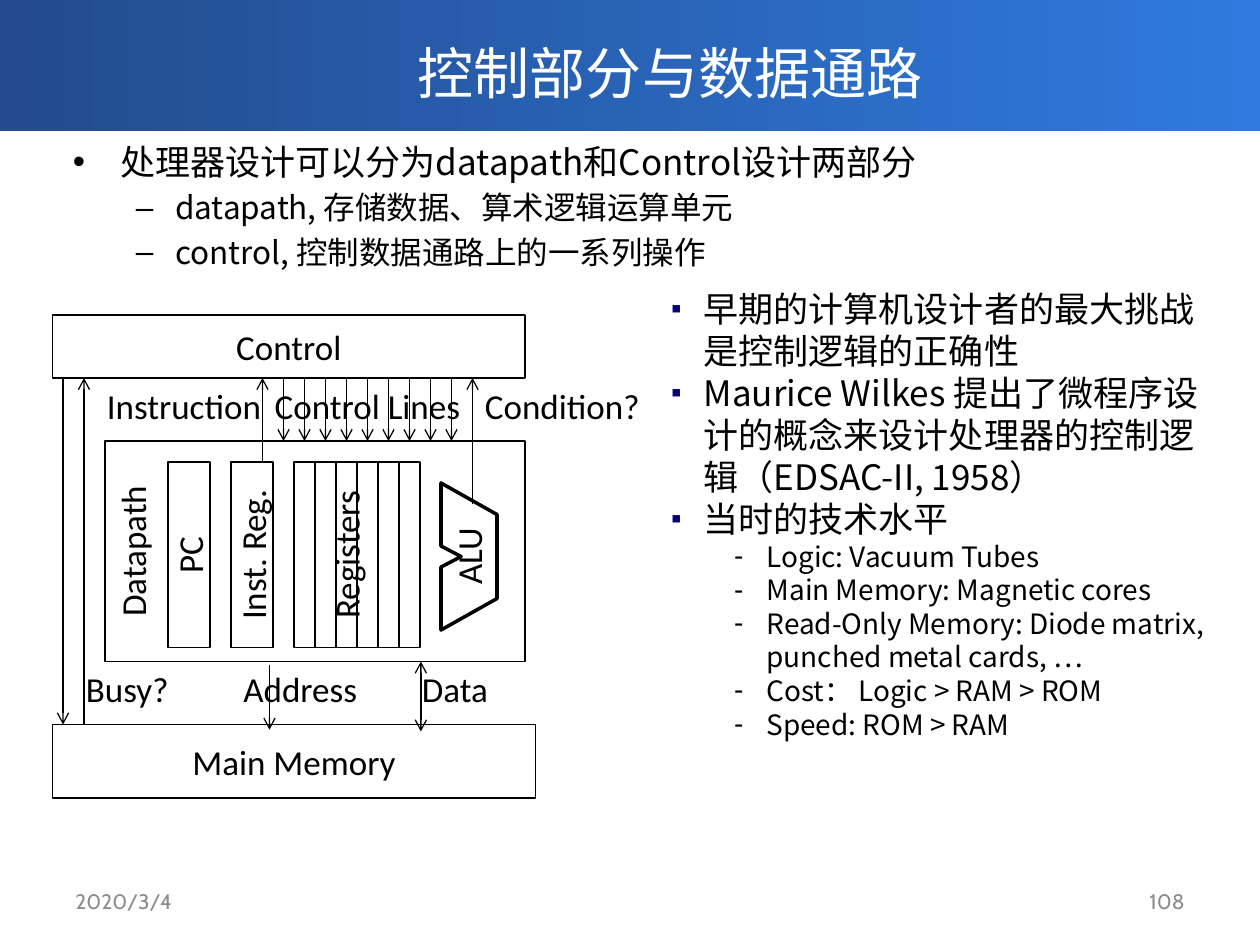
from dataclasses import dataclass

from lxml import etree
from pptx import Presentation
from pptx.dml import color
from pptx.enum import shapes, text
from pptx.oxml import ns
from pptx.util import Pt


@dataclass(frozen=True)
class Theme:
    black: str = "000000"
    white: str = "FFFFFF"
    grey: str = "8C8C8C"
    navy: str = "000080"
    banner: tuple = ("234B8D", "2F7ADF")
    cjk: str = "Noto Sans CJK SC"
    label: str = "Calibri"
    footer: str = "Cabin"
    title_size: int = 32
    large: int = 20
    medium: int = 18
    small: int = 16
    footer_size: int = 12


THEME = Theme()
CENTER, RIGHT = text.PP_ALIGN.CENTER, text.PP_ALIGN.RIGHT
MIDDLE, TOP = text.MSO_ANCHOR.MIDDLE, text.MSO_ANCHOR.TOP


def rgb(value):
    return color.RGBColor.from_string(value)


def add_child(parent, tag, **attributes):
    return etree.SubElement(parent, ns.qn(tag), attributes)


def add_run(paragraph, words, size, font, ink=THEME.black):
    run = paragraph.add_run()
    run.text = words
    run.font.size, run.font.name = Pt(size), font
    run.font.color.rgb = rgb(ink)
    add_child(run._r.get_or_add_rPr(), "a:ea", typeface=font)


def write(shape, words, size=THEME.large, font=THEME.label, ink=THEME.black,
          align=None, anchor=TOP, wrap=True):
    frame = shape.text_frame
    frame.word_wrap, frame.vertical_anchor = wrap, anchor
    paragraph = frame.paragraphs[0]
    paragraph.alignment = align
    add_run(paragraph, words, size, font, ink)


def add_text(slide, left, top, width, height, words, **style):
    box = slide.shapes.add_textbox(Pt(left), Pt(top), Pt(width), Pt(height))
    write(box, words, **style)
    return box


def outline(shape, width=1):
    shape.shadow.inherit = False
    shape.fill.solid()
    shape.fill.fore_color.rgb = rgb(THEME.white)
    shape.line.color.rgb = rgb(THEME.black)
    shape.line.width = Pt(width)


def add_block(slide, left, top, width, height, words="", upright=False, anchor=MIDDLE):
    """Outlined box; an upright one is turned so that its text reads upwards."""
    if upright:
        left, top = left + (width - height) / 2, top + (height - width) / 2
        width, height = height, width
    block = slide.shapes.add_shape(shapes.MSO_SHAPE.RECTANGLE,
                                   Pt(left), Pt(top), Pt(width), Pt(height))
    outline(block)
    if upright:
        block.rotation = 270
    if words:
        write(block, words, align=CENTER, anchor=anchor)


def add_arrow(slide, x, start, end, both=False):
    arrow = slide.shapes.add_connector(shapes.MSO_CONNECTOR.STRAIGHT,
                                       Pt(x), Pt(start), Pt(x), Pt(end))
    arrow.line.color.rgb = rgb(THEME.black)
    arrow.line.width = Pt(0.75)
    line = arrow.line._get_or_add_ln()
    if both:
        add_child(line, "a:headEnd", type="arrow")
    add_child(line, "a:tailEnd", type="arrow")
    add_child(arrow._element.spPr, "a:effectLst")


def add_list(slide, left, top, width, height, items, levels):
    """Bulleted list; each level gives bullet, size, margin, hanging, space, ink, scale."""
    box = slide.shapes.add_textbox(Pt(left), Pt(top), Pt(width), Pt(height))
    frame = box.text_frame
    frame.word_wrap = True
    for index, (level, words) in enumerate(items):
        paragraph = frame.paragraphs[0] if index == 0 else frame.add_paragraph()
        bullet, size, margin, hanging, space, ink, scale = levels[level]
        paragraph.level = level
        paragraph.space_before = Pt(space)
        properties = paragraph._p.get_or_add_pPr()
        properties.set("marL", str(Pt(margin)))
        properties.set("indent", str(-Pt(hanging)))
        add_child(add_child(properties, "a:buClr"), "a:srgbClr", val=ink)
        add_child(properties, "a:buSzPct", val=str(scale * 1000))
        add_child(properties, "a:buFont", typeface="Arial")
        add_child(properties, "a:buChar", char=bullet)
        add_run(paragraph, words, size, THEME.cjk)


def add_banner(slide, left, top, width, height):
    banner = slide.shapes.add_shape(shapes.MSO_SHAPE.RECTANGLE,
                                    Pt(left), Pt(top), Pt(width), Pt(height))
    banner.shadow.inherit = False
    banner.line.fill.background()
    banner.fill.gradient()
    banner.fill.gradient_angle = 0
    for stop, ink, position in zip(banner.fill.gradient_stops, THEME.banner, (0, 1)):
        stop.color.rgb, stop.position = rgb(ink), position
    add_text(slide, left + 82, top + 16, width - 118, 55, "控制部分与数据通路",
             size=THEME.title_size, font=THEME.cjk, ink=THEME.white,
             align=CENTER, anchor=MIDDLE)


def add_summary(slide, left, top, width, height):
    levels = [("•", THEME.large, 27, 27, 4, THEME.black, 100),
              ("–", THEME.medium, 58.5, 22.5, 3.6, THEME.black, 100)]
    add_list(slide, left, top, width, height, [
        (0, "处理器设计可以分为datapath和Control设计两部分"),
        (1, "datapath, 存储数据、算术逻辑运算单元"),
        (1, "control, 控制数据通路上的一系列操作")], levels)


def add_history(slide, left, top, width, height):
    levels = [("▪", THEME.large, 18.5, 18.5, 0, THEME.navy, 85),
              ("-", THEME.small, 54.5, 18.5, 0, THEME.black, 100)]
    add_list(slide, left, top, width, height, [
        (0, "早期的计算机设计者的最大挑战是控制逻辑的正确性"),
        (0, "Maurice Wilkes 提出了微程序设计的概念来设计处理器的控制逻辑（EDSAC-II, 1958）"),
        (0, "当时的技术水平"),
        (1, "Logic: Vacuum Tubes"),
        (1, "Main Memory: Magnetic cores"),
        (1, "Read-Only Memory: Diode matrix, punched metal cards, …"),
        (1, "Cost： Logic > RAM > ROM"),
        (1, "Speed: ROM > RAM")], levels)


def add_alu(slide, left, top):
    width, height = 84, 32
    x, y = left + (height - width) / 2, top + (width - height) / 2
    corners = [(0, 0), (36, 0), (42, 11.5), (48, 0), (84, 0), (66, 32), (18, 32)]
    points = [(Pt(x + dx), Pt(y + dy)) for dx, dy in corners]
    builder = slide.shapes.build_freeform(*points[0])
    builder.add_line_segments(points[1:], close=True)
    alu = builder.convert_to_shape()
    outline(alu, 2)
    alu.rotation = 270
    write(alu, "ALU", align=CENTER)


def add_processor(slide, left, top):
    control_bottom, path_top, path_bottom, memory_top = (
        top + offset for offset in (36, 72, 198, 234))

    # Main blocks
    add_block(slide, left, top, 270, 36, "Control")
    add_block(slide, left, memory_top, 276, 42, "Main Memory")
    add_block(slide, left + 30, path_top, 240, 126, "Datapath", upright=True, anchor=TOP)

    # Parts of the datapath
    for x, words in ((66, "PC"), (102, "Inst. Reg.")):
        add_block(slide, left + x, path_top + 12, 24, 106, words, upright=True)
    for index in range(6):
        add_block(slide, left + 138 + 12 * index, path_top + 12, 12, 106, upright=True)
    registers = add_text(slide, left + 123.5, top + 120, 89, 32, "Registers", wrap=False)
    registers.rotation = 270
    add_alu(slide, left + 222, top + 96)

    # Control lines and signals
    for index in range(9):
        add_arrow(slide, left + 132 + 12 * index, control_bottom, path_top)
    add_arrow(slide, left + 120, path_top + 12, control_bottom)
    add_arrow(slide, left + 240, top + 108, control_bottom)
    add_arrow(slide, left + 6, control_bottom, memory_top)
    add_arrow(slide, left + 18, memory_top, control_bottom)
    add_arrow(slide, left + 124, path_bottom + 2, memory_top + 3)
    add_arrow(slide, left + 210.5, path_bottom, memory_top + 4, both=True)

    # Signal names
    for x, y, width, words, align in (
            (24, control_bottom, 120, "Instruction", None),
            (108, control_bottom, 144, "Control Lines", CENTER),
            (240, control_bottom, 108, "Condition?", None),
            (12, path_bottom, 63, "Busy?", None),
            (102, path_bottom, 81, "Address", None),
            (204, path_bottom, 53, "Data", None)):
        add_text(slide, left + x, y, width, 32, words, align=align,
                 wrap=y == control_bottom)


def add_footer(slide, left, top, width, height):
    for x, words, align in ((left, "2020/3/4", None), (left + width - 168, "108", RIGHT)):
        add_text(slide, x, top, 168, height, words, size=THEME.footer_size,
                 font=THEME.footer, ink=THEME.grey, align=align, anchor=MIDDLE)


def main():
    presentation = Presentation()
    presentation.slide_width, presentation.slide_height = Pt(720), Pt(540)
    slide = presentation.slides.add_slide(presentation.slide_layouts[6])
    add_banner(slide, 0, -2, 720, 77)
    add_summary(slide, 34.5, 76.5, 586, 82)
    add_history(slide, 376.5, 160.5, 330, 343.5)
    add_processor(slide, 30, 180)
    add_footer(slide, 36, 500.5, 648, 28.5)
    presentation.save("out.pptx")


if __name__ == "__main__":
    main()
